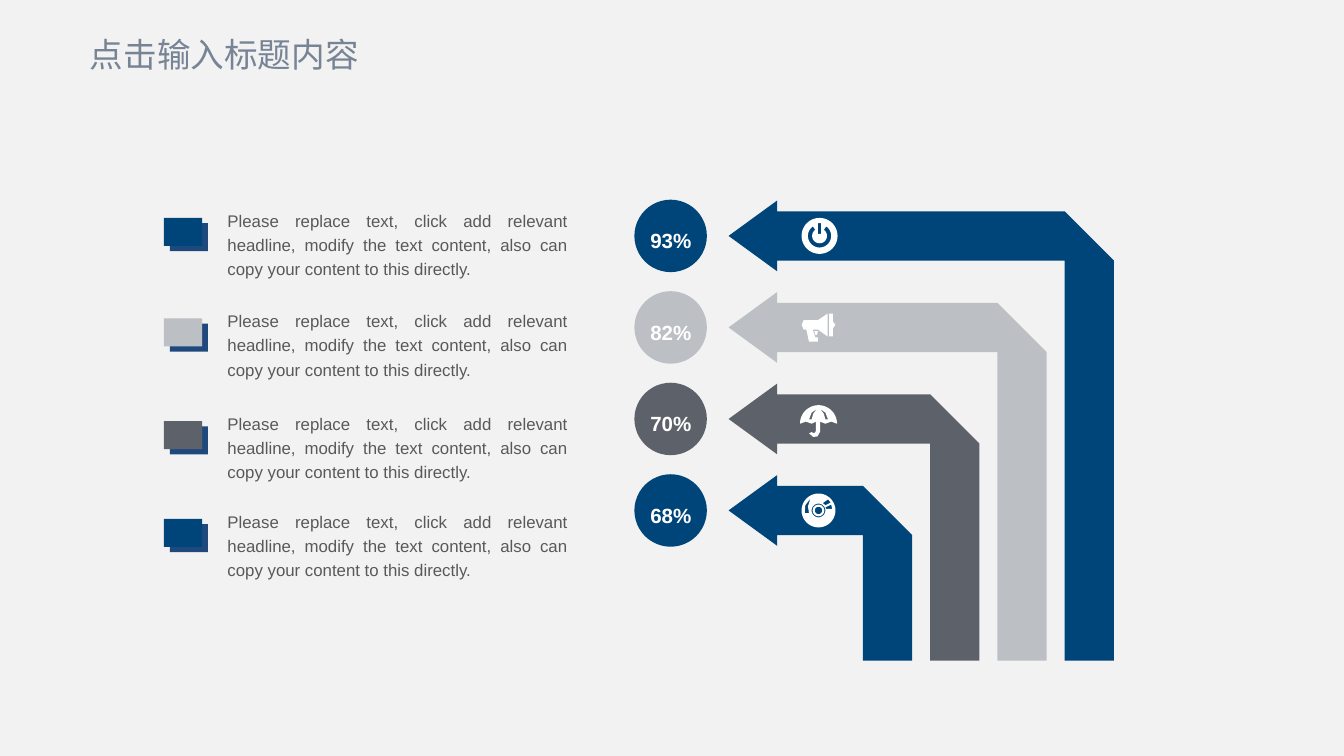
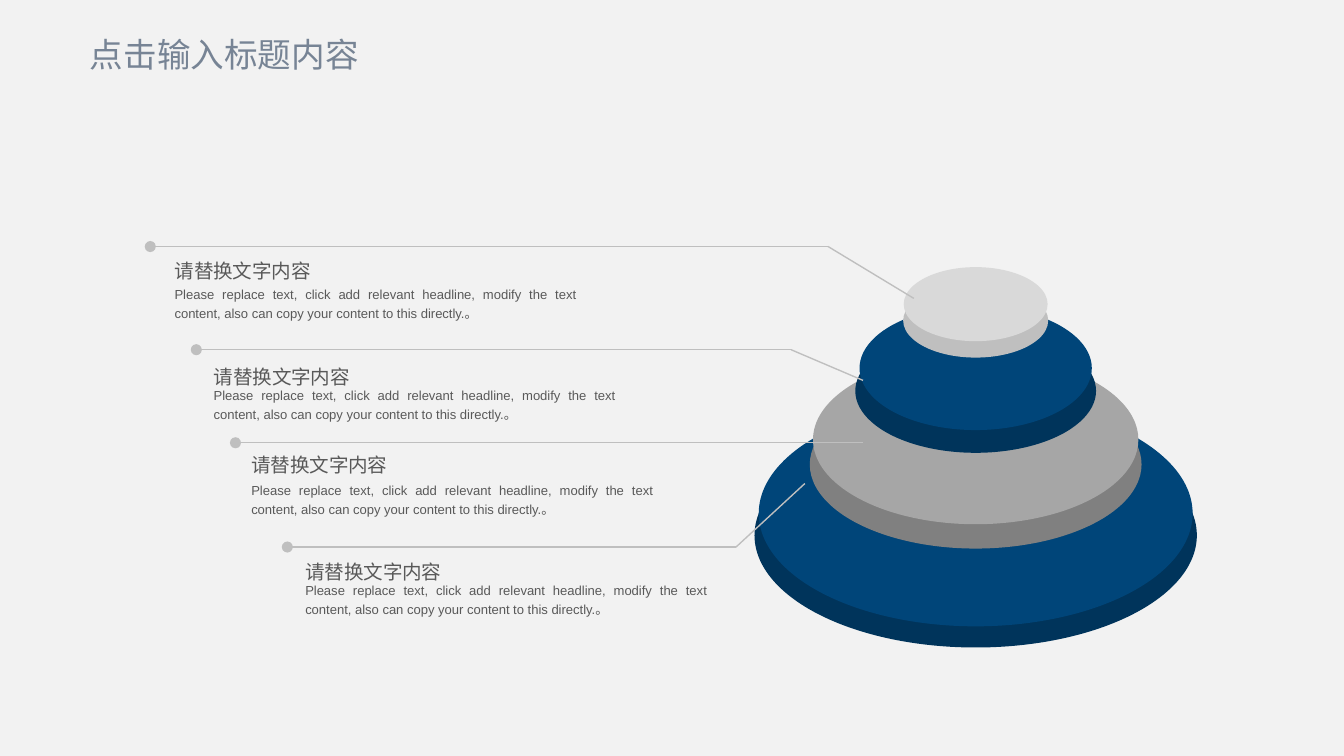
from math import cos, radians, sin

from lxml.etree import SubElement
from pptx import Presentation
from pptx.dml.color import RGBColor
from pptx.enum.shapes import MSO_CONNECTOR as Connector, MSO_SHAPE as Shape
from pptx.enum.text import MSO_ANCHOR as Anchor, MSO_AUTO_SIZE as AutoSize, PP_ALIGN as Align
from pptx.oxml.ns import qn
from pptx.util import Cm, Pt

PAPER = RGBColor(0xF2, 0xF2, 0xF2)
WHITE = RGBColor(0xFF, 0xFF, 0xFF)
SLATE = RGBColor(0x77, 0x84, 0x95)
TEXT = RGBColor(0x59, 0x59, 0x59)
BLUE = RGBColor(0x00, 0x45, 0x79)
NAVY = RGBColor(0x00, 0x34, 0x5B)
SHADOW = RGBColor(0x1F, 0x49, 0x7D)
SILVER = RGBColor(0xBC, 0xBF, 0xC4)
STEEL = RGBColor(0x5D, 0x62, 0x6A)
MID_GRAY = RGBColor(0x80, 0x80, 0x80)
ASH = RGBColor(0xA6, 0xA6, 0xA6)
LINE_GRAY = RGBColor(0xBF, 0xBF, 0xBF)
PALE = RGBColor(0xD9, 0xD9, 0xD9)

LATIN = "Arial"
CJK = "Noto Sans CJK SC"
TITLE = "点击输入标题内容"
HEADING = "请替换文字内容"
BODY = ("Please replace text, click add relevant headline, modify the text content, "
        "also can copy your content to this directly.")


def arc(radius, start=0, end=360, center=(0, 0), steps=40):
    angles = [radians(start + (end - start) * step / steps) for step in range(steps + 1)]
    return [(center[0] + radius * cos(angle), center[1] + radius * sin(angle)) for angle in angles]


def mirror(points):
    return [(-x, y) for x, y in points]


POWER = [
    arc(0.34),
    [(-0.03, -0.24), (0.03, -0.24), (0.03, -0.04), (-0.03, -0.04)],
    arc(0.22, -55, 235) + arc(0.14, 235, -55),
]
MEGAPHONE = [
    [(-0.3, -0.14), (-0.03, -0.14), (0.15, -0.26), (0.15, 0.17), (-0.03, 0.04), (-0.13, 0.04),
     (-0.08, 0.19), (-0.03, 0.19), (-0.03, 0.27), (-0.2, 0.27), (-0.25, 0.04), (-0.3, 0.04),
     (-0.34, -0.05)],
    [(0.18, -0.26), (0.25, -0.26), (0.25, -0.11), (0.3, -0.05), (0.25, 0.02), (0.25, 0.17),
     (0.18, 0.17)],
    [(-0.03, 0.07), (-0.1, 0.07), (-0.08, 0.14), (-0.05, 0.14)],
]
RIB_GAP = [(0.13, 0.01), (0.18, 0.01), (0.13, -0.12), (0.03, -0.19), (0.1, -0.1)]
UMBRELLA = [
    arc(0.35, 180, 360, (0, 0.09)) + [
        (0.24, 0.05), (0.13, 0.09), (0.03, 0.05), (0.03, 0.24), (-0.02, 0.33), (-0.1, 0.34),
        (-0.18, 0.27), (-0.13, 0.25), (-0.08, 0.27), (-0.05, 0.23), (-0.05, 0.05),
        (-0.13, 0.09), (-0.24, 0.05)],
    RIB_GAP,
    mirror(RIB_GAP),
]
DISC = [
    arc(0.32), arc(0.13), arc(0.11), arc(0.07),
    [(-0.15, -0.23), (-0.25, -0.1), (-0.26, 0.05), (-0.18, 0.05), (-0.2, -0.08)],
    [(0.08, -0.14), (0.18, -0.21), (0.23, -0.15), (0.13, -0.1)],
    [(0.13, -0.06), (0.24, -0.11), (0.26, -0.03), (0.14, -0.03)],
]

ARROWS = [
    ("93%", BLUE, POWER, 15.49, 4.12),
    ("82%", SILVER, MEGAPHONE, 15.49, 6.02),
    ("70%", STEEL, UMBRELLA, 15.47, 7.96),
    ("68%", BLUE, DISC, 15.47, 9.81),
]
ROW_TOP, ROW_PITCH = 4.46, 1.73
CIRCLE_X, CIRCLE_SIZE = 11.99, 1.37
TIP_X, HEAD_X, HEAD_HALF = 13.77, 14.69, 0.67
BAND, BEND_RIGHT, BEND_PITCH, ARROW_BOTTOM = 0.93, 21.05, 1.27, 12.49

CONE_X = 18.44
DISKS = [
    (8.0, 8.36, 4.24, NAVY), (7.57, 8.2, 4.27, BLUE),
    (7.19, 6.27, 3.18, MID_GRAY), (6.71, 6.15, 3.2, ASH),
    (6.22, 4.55, 2.34, NAVY), (5.79, 4.39, 2.34, BLUE),
    (5.36, 2.74, 1.4, LINE_GRAY), (5.05, 2.72, 1.4, PALE),
]
CALLOUTS = [
    ((2.84, 4.66), (15.65, 4.66), (17.27, 5.64), 3.12, 4.7, 5.26),
    ((3.71, 6.61), (14.95, 6.61), (16.31, 7.19), 3.86, 6.71, 7.16),
    ((4.45, 8.37), (16.31, 8.37), None, 4.57, 8.38, 8.97),
    ((5.43, 10.34), (13.91, 10.34), (15.21, 9.14), 5.59, 10.39, 10.85),
]


def lengths(values):
    return [Cm(value) for value in values]


def style(target, **formats):
    for name, value in formats.items():
        setattr(target, name, value)


def write(box, text, size, color, font=LATIN, bold=False, align=Align.LEFT, spacing=1.2,
          insets=(0.18, 0.1), wrap=True, anchor=Anchor.TOP, fit=AutoSize.SHAPE_TO_FIT_TEXT):
    side, edge = lengths(insets)
    frame = box.text_frame
    style(frame, margin_left=side, margin_right=side, margin_top=edge, margin_bottom=edge,
          word_wrap=wrap, vertical_anchor=anchor, auto_size=fit)
    para = frame.paragraphs[0]
    style(para, alignment=align, line_spacing=spacing)
    span = para.add_run()
    span.text = text
    style(span.font, name=font, size=Pt(size), bold=bold)
    span.font.color.rgb = color
    return span


def add_text(page, area, text, size, color, **formats):
    box = page.shapes.add_textbox(*lengths(area))
    return write(box, text, size, color, **formats)


def paint(shape, color):
    shape.shadow.inherit = False
    shape.fill.solid()
    shape.fill.fore_color.rgb = color
    shape.line.fill.background()


def add_solid(page, kind, area, color):
    paint(page.shapes.add_shape(kind, *lengths(area)), color)


def add_outline(page, contours, color, x=0, y=0):
    placed = [[(Cm(x + dx), Cm(y + dy)) for dx, dy in contour] for contour in contours]
    first, *others = placed
    builder = page.shapes.build_freeform(*first[0], scale=1.0)
    builder.add_line_segments(first[1:], close=True)
    for contour in others:
        builder.move_to(*contour[0])
        builder.add_line_segments(contour[1:], close=True)
    paint(builder.convert_to_shape(), color)


def add_line(page, start, end, dot=False):
    line = page.shapes.add_connector(Connector.STRAIGHT, *lengths(start + end))
    line.line.color.rgb = LINE_GRAY
    line.line.width = Pt(0.75)
    if dot:
        SubElement(line.line._get_or_add_ln(), qn("a:tailEnd"), type="oval")
    SubElement(line._element.spPr, qn("a:effectLst"))


def add_page(deck):
    page = deck.slides.add_slide(deck.slide_layouts[5])
    title = page.shapes.title
    for name, value in zip(("left", "top", "width", "height"), lengths((1.7, 0.48, 5.92, 1.07))):
        setattr(title, name, value)
    span = write(title, TITLE, 18, SLATE, font=CJK, spacing=1.0, insets=(0, 0.13),
                 anchor=Anchor.MIDDLE, fit=AutoSize.NONE)
    SubElement(span.font._element, qn("a:ea"), typeface=CJK)
    return page


def build_arrows(deck):
    page = add_page(deck)
    for row, (percent, color, icon, icon_x, key_top) in enumerate(ARROWS):
        y = ROW_TOP + row * ROW_PITCH
        right = BEND_RIGHT - row * BEND_PITCH
        inner, top, bottom = right - BAND, y - BAND / 2, y + BAND / 2
        add_solid(page, Shape.OVAL,
                  (CIRCLE_X, y - CIRCLE_SIZE / 2, CIRCLE_SIZE, CIRCLE_SIZE), color)
        add_text(page, (CIRCLE_X + 0.05, y - 0.37, 1.3, 0.81), percent, 11, WHITE, bold=True,
                 align=Align.JUSTIFY, insets=(0.25, 0.13), wrap=False)
        add_outline(page, [[
            (TIP_X, y), (HEAD_X, y - HEAD_HALF), (HEAD_X, top), (inner, top), (right, bottom),
            (right, ARROW_BOTTOM), (inner, ARROW_BOTTOM), (inner, bottom), (HEAD_X, bottom),
            (HEAD_X, y + HEAD_HALF)]], color)
        add_outline(page, icon, WHITE, icon_x, y)
        add_solid(page, Shape.RECTANGLE, (3.21, key_top + 0.1, 0.72, 0.53), SHADOW)
        add_solid(page, Shape.RECTANGLE, (3.1, key_top, 0.72, 0.53), color)
        add_text(page, (4.12, key_top - 0.32, 6.78, 1.57), BODY, 9, TEXT, align=Align.JUSTIFY)


def build_cone(deck):
    page = add_page(deck)
    for top, width, height, color in DISKS:
        add_solid(page, Shape.OVAL, (CONE_X - width / 2, top, width, height), color)
    for dot, bend, end, left, heading_top, body_top in CALLOUTS:
        if end:
            add_line(page, end, bend)
        add_line(page, bend, dot, dot=True)
        add_text(page, (left, body_top, 7.95, 0.86), BODY + "。", 7, TEXT, align=Align.JUSTIFY)
        add_text(page, (left, heading_top, 3.12, 0.69), HEADING, 10.5, TEXT)


def main():
    deck = Presentation()
    style(deck, slide_width=Cm(25.4), slide_height=Cm(14.29))
    background = deck.slide_master.background.fill
    background.solid()
    background.fore_color.rgb = PAPER
    build_arrows(deck)
    build_cone(deck)
    deck.save("out.pptx")


if __name__ == "__main__":
    main()
